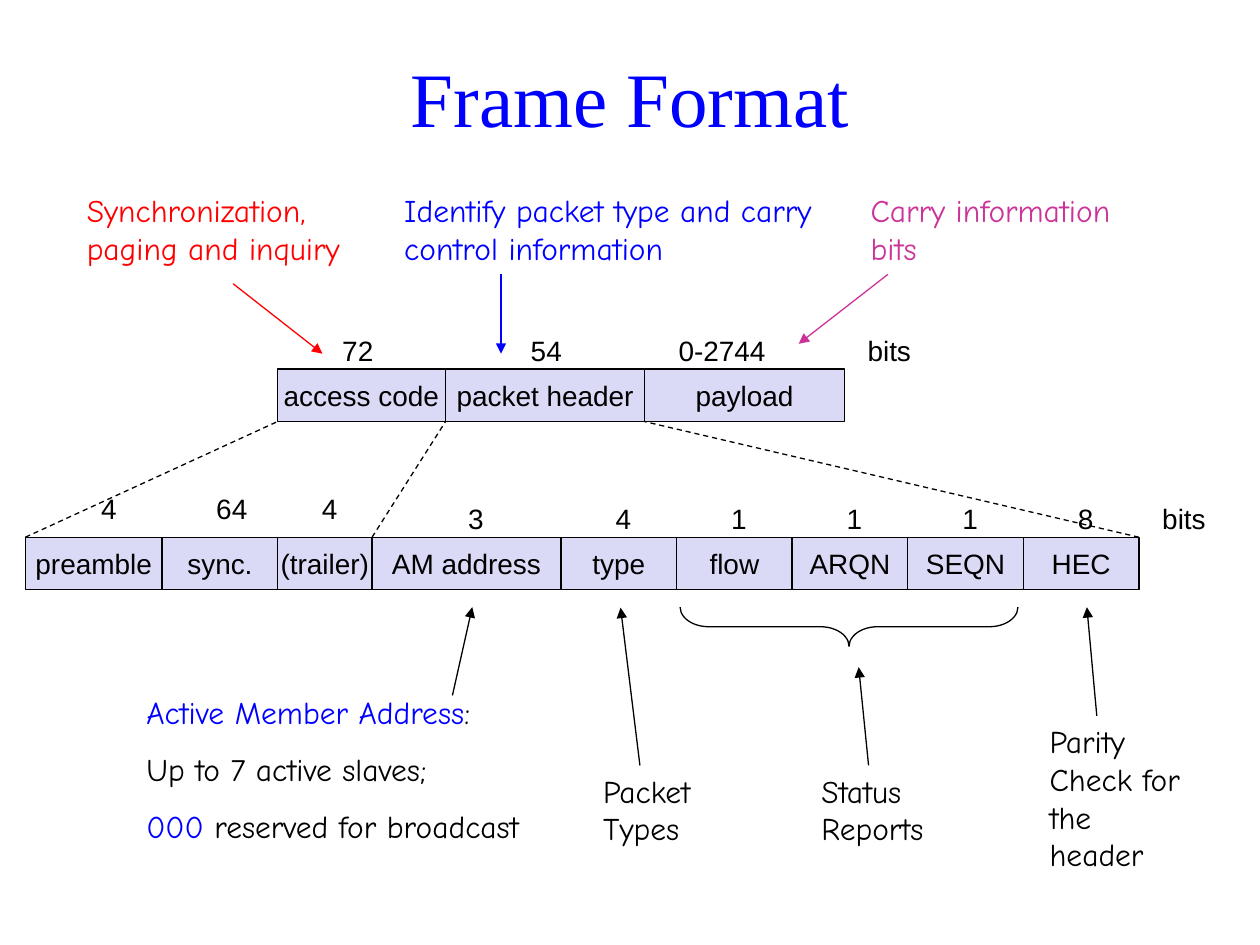
from dataclasses import dataclass
from itertools import accumulate

from lxml.etree import SubElement
from pptx import Presentation
from pptx.dml.color import RGBColor
from pptx.enum.dml import MSO_LINE
from pptx.enum.shapes import MSO_CONNECTOR, MSO_SHAPE
from pptx.enum.text import MSO_ANCHOR, MSO_AUTO_SIZE, PP_ALIGN
from pptx.oxml.ns import qn
from pptx.util import Cm, Pt


@dataclass(frozen=True)
class Theme:
    black: RGBColor = RGBColor(0, 0, 0)
    blue: RGBColor = RGBColor(0, 0, 255)
    red: RGBColor = RGBColor(255, 0, 0)
    magenta: RGBColor = RGBColor(0xCC, 0x33, 0x99)
    field: RGBColor = RGBColor(0xDA, 0xDA, 0xF6)
    title_font: str = "Times New Roman"
    field_font: str = "Arial"
    note_font: str = "Comic Neue"
    title_size: Pt = Pt(44)
    field_size: Pt = Pt(16)
    note_size: Pt = Pt(18)
    line: Pt = Pt(0.75)
    gap: Pt = Pt(11.2)


T = Theme()
FIELD_HEIGHT = 1.06

# Each field: name, width, bit count, left offset and width of the count
PACKET = [
    ("access code", 3.39, "72", 1.06, 1.16),
    ("packet header", 4.02, "54", 1.47, 1.16),
    ("payload", 4.02, "0-2744", 0.43, 2.3),
]
ACCESS_CODE = [
    ("preamble", 2.76, "4", 1.28, 0.84),
    ("sync.", 2.33, "64", 0.84, 1.16),
    ("(trailer)", 1.9, "4", 0.64, 0.84),
]
HEADER = [("AM address", 3.81, "3", 1.69, 0.84)] + [
    (name, 2.33, bits, 0.85, 0.84)
    for name, bits in [("type", "4"), ("flow", "1"), ("ARQN", "1"), ("SEQN", "1"), ("HEC", "8")]
]

# Each note: box, paragraphs of (text, colour) runs, arrow start and end from the box corner
NOTES = [
    ((1.5, 3.73, 5.79, 1.78), [[("Synchronization, paging and inquiry", T.red)]],
     (3.2, 1.99), (5.0, 3.4), T.red),
    ((7.9, 3.73, 9.2, 1.78), [[("Identify packet type and carry control information", T.blue)]],
     (2.2, 1.8), (2.2, 3.4), T.blue),
    ((17.3, 3.73, 5.79, 1.78), [[("Carry information bits", T.magenta)]],
     (0.6, 1.8), (-1.2, 3.2), T.magenta),
    ((2.7, 13.84, 8.2, 3.35),
     [[("Active Member Address", T.blue), (":", T.black)],
      [("Up to 7 active slaves;", T.black)],
      [("000", T.blue), (" reserved for broadcast", T.black)]],
     (6.42, 0.18), (6.82, -1.6), T.black),
    ((11.91, 15.43, 3.4, 1.78), [[("Packet Types", T.black)]],
     (0.99, 0), (0.6, -3.18), T.black),
    ((16.31, 15.43, 3.4, 1.78), [[("Status Reports", T.black)]],
     (1.2, 0), (1.0, -1.98), T.black),
    ((20.91, 14.43, 3.4, 3.3), [[("Parity Check for the header", T.black)]],
     (1.2, 0), (1.0, -2.19), T.black),
]


def style(p, font, size, color=None):
    p.font.name = font
    p.font.size = size
    if color is not None:
        p.font.color.rgb = color


def add_line(s, start, end, color=T.black, dashed=False, arrow=False):
    sp = s.shapes.add_connector(MSO_CONNECTOR.STRAIGHT, *map(Cm, (*start, *end)))
    sp.line.color.rgb = color
    sp.line.width = T.line
    if dashed:
        sp.line.dash_style = MSO_LINE.DASH
    if arrow:
        SubElement(sp.line._get_or_add_ln(), qn("a:tailEnd"), type="triangle")
    SubElement(sp._element.spPr, qn("a:effectLst"))


def add_title(s, left, top, width, height):
    tf = s.shapes.add_textbox(*map(Cm, (left, top, width, height))).text_frame
    tf.word_wrap = True
    tf.vertical_anchor = MSO_ANCHOR.MIDDLE
    p = tf.paragraphs[0]
    p.text = "Frame Format"
    p.alignment = PP_ALIGN.CENTER
    style(p, T.title_font, T.title_size, T.blue)


def add_label(s, left, top, width, text):
    tf = s.shapes.add_textbox(*map(Cm, (left, top, width, 0.93))).text_frame
    tf.word_wrap = False
    tf.auto_size = MSO_AUTO_SIZE.SHAPE_TO_FIT_TEXT
    p = tf.paragraphs[0]
    p.text = text
    style(p, T.field_font, T.field_size, T.black)


def add_fields(s, left, top, fields, rise=0.84, unit=True):
    """Draw adjoining fields with bit counts above; return their edges."""
    edges = list(accumulate((f[1] for f in fields), initial=left))
    for x, (name, width, bits, offset, label_width) in zip(edges, fields):
        sp = s.shapes.add_shape(MSO_SHAPE.RECTANGLE, *map(Cm, (x, top, width, FIELD_HEIGHT)))
        sp.shadow.inherit = False
        sp.fill.solid()
        sp.fill.fore_color.rgb = T.field
        sp.line.color.rgb = T.black
        sp.line.width = T.line
        tf = sp.text_frame
        tf.word_wrap = False
        tf.vertical_anchor = MSO_ANCHOR.MIDDLE
        p = tf.paragraphs[0]
        p.text = name
        p.alignment = PP_ALIGN.CENTER
        style(p, T.field_font, T.field_size, T.black)
        add_label(s, x + offset, top - rise, label_width, bits)
    if unit:
        add_label(s, edges[-1] + 0.22, top - rise, 1.42, "bits")
    return edges


def add_frame(s, packet_left, packet_top, detail_left, detail_top):
    """Draw the packet and, joined by dashed lines, its expanded fields."""
    packet = add_fields(s, packet_left, packet_top, PACKET)
    access = add_fields(s, detail_left, detail_top, ACCESS_CODE, rise=1.04, unit=False)
    header = add_fields(s, access[-1], detail_top, HEADER)
    for x, detail_x in zip(packet, (access[0], header[0], header[-1])):
        add_line(s, (detail_x, detail_top), (x, packet_top + FIELD_HEIGHT), dashed=True)


def add_brace(s, left, top, width, height):
    """Draw a brace that opens upwards, filling the given box."""
    x, y = left + (width - height) / 2, top + (height - width) / 2
    sp = s.shapes.add_shape(MSO_SHAPE.RIGHT_BRACE, *map(Cm, (x, y, height, width)))
    sp.rotation = 90
    sp.adjustments[0] = 0.73
    sp.shadow.inherit = False
    sp.fill.background()
    sp.line.color.rgb = T.black
    sp.line.width = T.line


def add_note(s, box, paragraphs, start, end, color):
    left, top = box[:2]
    tf = s.shapes.add_textbox(*map(Cm, box)).text_frame
    tf.word_wrap = True
    tf.auto_size = MSO_AUTO_SIZE.SHAPE_TO_FIT_TEXT
    for i, runs in enumerate(paragraphs):
        p = tf.add_paragraph() if i else tf.paragraphs[0]
        if i:
            p.space_before = T.gap
        style(p, T.note_font, T.note_size)
        for text, run_color in runs:
            r = p.add_run()
            r.text = text
            r.font.color.rgb = run_color
    add_line(s, (left + start[0], top + start[1]), (left + end[0], top + end[1]), color, arrow=True)


def main():
    prs = Presentation()
    prs.slide_width, prs.slide_height = Cm(25.4), Cm(19.05)
    s = prs.slides.add_slide(prs.slide_layouts[6])
    add_title(s, 1.27, 0.78, 22.86, 2.36)
    add_frame(s, 5.59, 7.44, 0.51, 10.83)
    add_brace(s, 13.71, 12.24, 6.81, 0.79)
    for note in NOTES:
        add_note(s, *note)
    prs.save("out.pptx")


if __name__ == "__main__":
    main()
